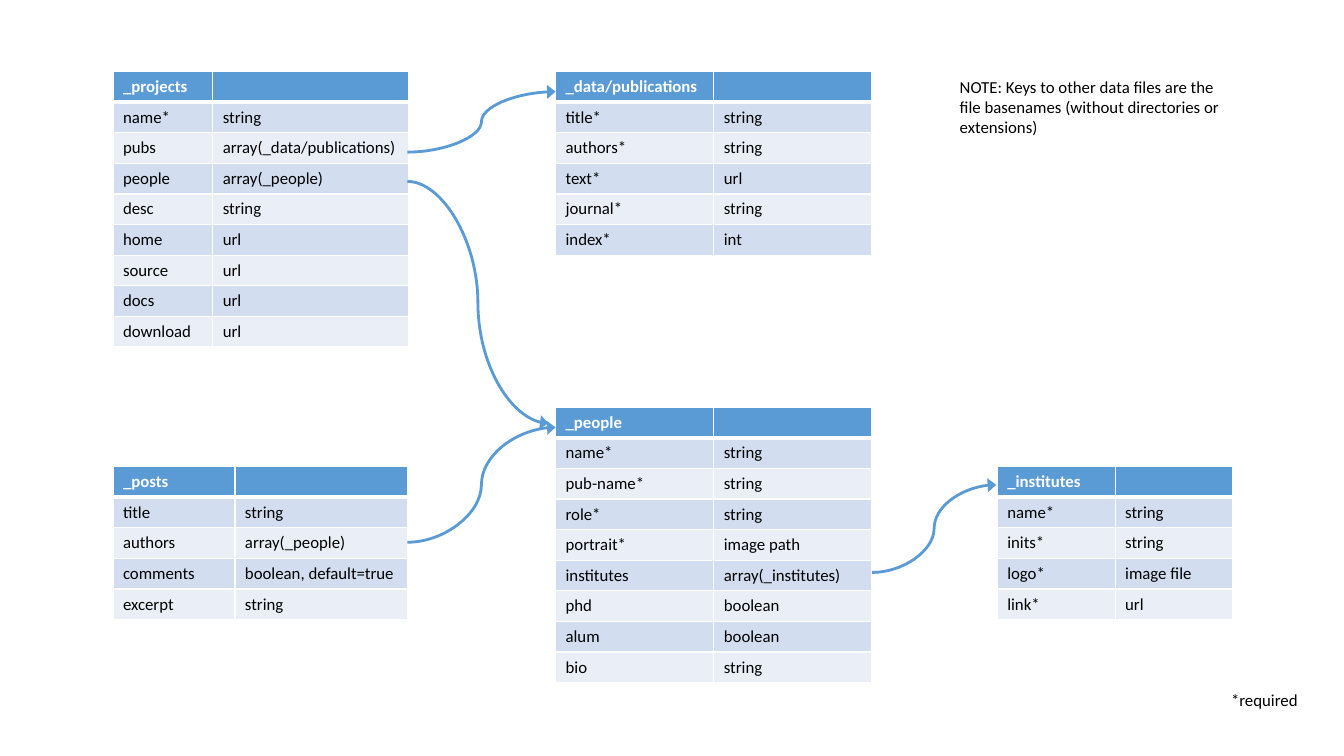
from dataclasses import dataclass

from lxml.etree import SubElement
from pptx import Presentation
from pptx.dml.color import RGBColor
from pptx.enum.shapes import MSO_CONNECTOR as Link
from pptx.enum.text import MSO_ANCHOR as Anchor, MSO_AUTO_SIZE as Fit, PP_ALIGN as Align
from pptx.oxml import parse_xml
from pptx.oxml.ns import nsdecls, qn
from pptx.util import Inches, Pt

BLUE, WHITE, BLACK = "5B9BD5", "FFFFFF", "000000"
BANDS = ("EAEFF7", "D2DEEF")
ROW = 0.3


@dataclass
class Schema:
    """A table of field names and types."""
    name: str
    left: float
    top: float
    cols: tuple[float, float]
    fields: list[tuple[str, str]]


@dataclass
class Arrow:
    """A curved link from a field to a table."""
    start: tuple[float, float]
    end: tuple[float, float]


@dataclass
class Note:
    """A free text box."""
    text: str
    left: float
    top: float
    width: float
    height: float
    align: Align = Align.LEFT


SCHEMAS = [
    Schema("_people", 5.51, 4.04, (1.57, 1.57), [
        ("name*", "string"), ("pub-name*", "string"), ("role*", "string"),
        ("portrait*", "image path"), ("institutes", "array(_institutes)"),
        ("phd", "boolean"), ("alum", "boolean"), ("bio", "string")]),
    Schema("_projects", 1.12, 0.71, (0.99, 1.94), [
        ("name*", "string"), ("pubs", "array(_data/publications)"),
        ("people", "array(_people)"), ("desc", "string"), ("home", "url"),
        ("source", "url"), ("docs", "url"), ("download", "url")]),
    Schema("_data/publications", 5.51, 0.71, (1.57, 1.57), [
        ("title*", "string"), ("authors*", "string"), ("text*", "url"),
        ("journal*", "string"), ("index*", "int")]),
    Schema("_institutes", 9.89, 4.63, (1.17, 1.17), [
        ("name*", "string"), ("inits*", "string"),
        ("logo*", "image file"), ("link*", "url")]),
    Schema("_posts", 1.12, 4.63, (1.21, 1.71), [
        ("title", "string"), ("authors", "array(_people)"),
        ("comments", "boolean, default=true"), ("excerpt", "string")]),
]
ARROWS = [
    Arrow((4.04, 1.51), (5.51, 0.91)),
    Arrow((4.04, 1.8), (5.44, 4.2)),
    Arrow((4.04, 5.38), (5.51, 4.24)),
    Arrow((8.65, 5.68), (9.88, 4.81)),
]
NOTES = [
    Note("*required", 11.91, 6.79, 1.06, 0.3, Align.RIGHT),
    Note("NOTE: Keys to other data files are the file basenames "
         "(without directories or extensions)", 9.42, 0.71, 2.82, 0.71),
]


def paint(color, code: str) -> None:
    """Apply a hex colour to a fill or line colour."""
    color.rgb = RGBColor.from_string(code)


def style(para, code: str, bold: bool = False) -> None:
    """Set the font of a paragraph."""
    font = para.font
    font.name, font.size, font.bold = "Calibri", Pt(12), bold
    font.fill.solid()
    paint(font.fill.fore_color, code)


def edge(cell, row: int) -> None:
    """Give a cell white borders, thick under the header."""
    widths = {"L": 1, "R": 1, "T": 3 if row == 1 else 1, "B": 3 if row == 0 else 1}
    props = cell._tc.get_or_add_tcPr()
    for spot, (side, width) in enumerate(widths.items()):
        props.insert(spot, parse_xml(
            f'<a:ln{side} {nsdecls("a")} w="{Pt(width)}"><a:solidFill>'
            f'<a:srgbClr val="{WHITE}"/></a:solidFill></a:ln{side}>'))


def draw_cell(cell, text: str, row: int) -> None:
    """Fill, write and border one cell."""
    cell.text = text
    cell.vertical_anchor = Anchor.TOP
    cell.fill.solid()
    paint(cell.fill.fore_color, BANDS[row % 2] if row else BLUE)
    para = cell.text_frame.paragraphs[0]
    style(para, BLACK if row else WHITE, row == 0)
    if not text:
        SubElement(para._p, qn("a:endParaRPr"), sz="1200")
    edge(cell, row)


def draw_schema(slide, schema: Schema) -> None:
    """Draw a table with its header and fields."""
    rows = [(schema.name, ""), *schema.fields]
    table = slide.shapes.add_table(
        len(rows), 2, Inches(schema.left), Inches(schema.top),
        Inches(sum(schema.cols)), Inches(ROW * len(rows))).table
    for col, width in zip(table.columns, schema.cols):
        col.width = Inches(width)
    for row, texts in enumerate(rows):
        table.rows[row].height = Inches(ROW)
        for col, text in enumerate(texts):
            draw_cell(table.cell(row, col), text, row)


def draw_arrow(slide, arrow: Arrow) -> None:
    """Draw a curved arrow without a shadow."""
    ends = (Inches(value) for value in (*arrow.start, *arrow.end))
    link = slide.shapes.add_connector(Link.CURVE, *ends)
    link.line.width = Pt(2)
    link.line.fill.solid()
    paint(link.line.fill.fore_color, BLUE)
    SubElement(link.line._get_or_add_ln(), qn("a:tailEnd"), type="triangle", w="lg")
    SubElement(link._element.spPr, qn("a:effectLst"))


def draw_note(slide, note: Note) -> None:
    """Write a text box."""
    frame = slide.shapes.add_textbox(
        Inches(note.left), Inches(note.top),
        Inches(note.width), Inches(note.height)).text_frame
    frame.word_wrap = True
    frame.auto_size = Fit.SHAPE_TO_FIT_TEXT
    frame.text = note.text
    para = frame.paragraphs[0]
    para.alignment = note.align
    style(para, BLACK)


def main() -> None:
    """Build the slide and save it."""
    deck = Presentation()
    deck.slide_width, deck.slide_height = Inches(13.33), Inches(7.5)
    slide = deck.slides.add_slide(deck.slide_layouts[6])
    for schema in SCHEMAS:
        draw_schema(slide, schema)
    for arrow in ARROWS:
        draw_arrow(slide, arrow)
    for note in NOTES:
        draw_note(slide, note)
    deck.save("out.pptx")


main()
